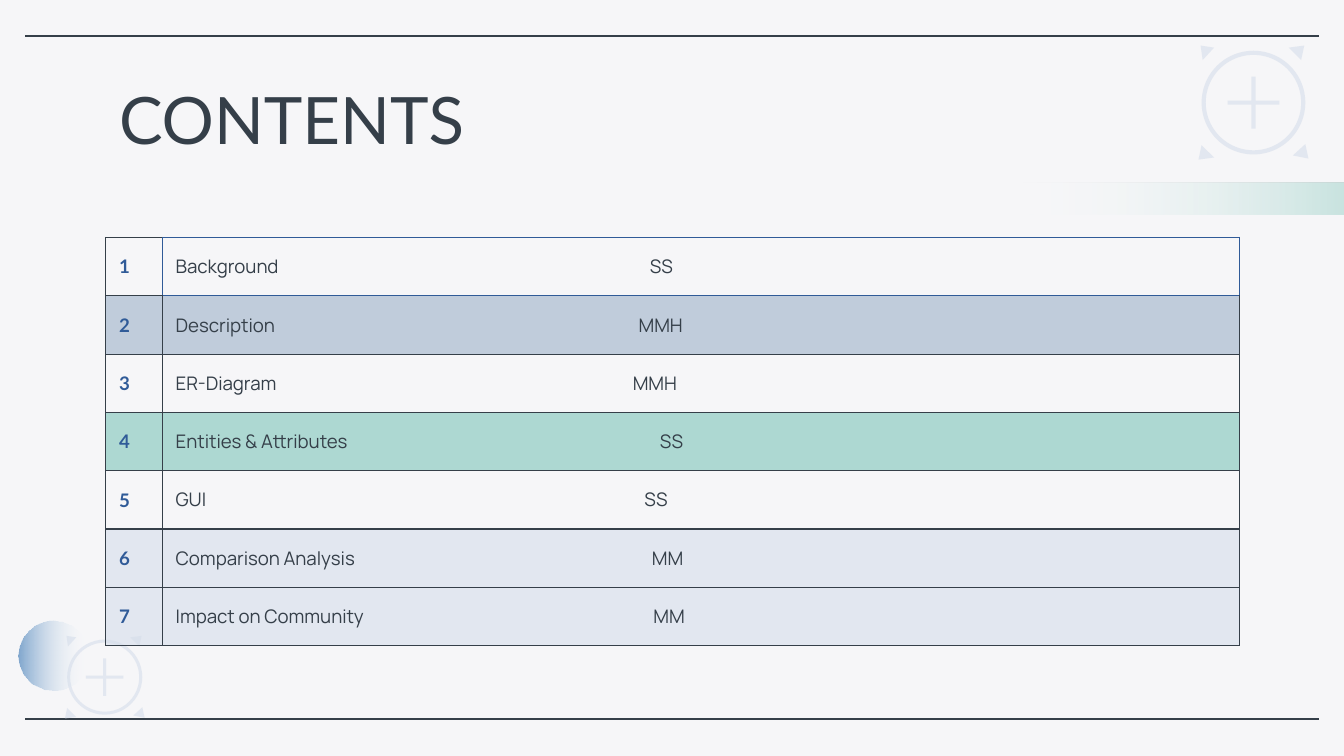
import pptx
import pptx.dml.color
import pptx.enum.shapes
import pptx.enum.text
import pptx.oxml
import pptx.oxml.ns
import pptx.util
from lxml import etree

Cm = pptx.util.Cm
Pt = pptx.util.Pt
SHAPES = pptx.enum.shapes.MSO_SHAPE
qn = pptx.oxml.ns.qn

THEME = {
    "background": "F6F6F8", "ink": "353F49", "blue": "305B98",
    "pale": "D6DEEB", "slate": "ABBCD0", "green": "169B82",
    "sky": "81A7CE", "mint": "68BAAC", "white": "FFFFFF",
    "heading_font": "Lato", "body_font": "Manrope",
    "title_size": 35, "body_size": 10, "line_width": 0.75,
}

# Content: topic, presenter, presenter's tab position in cm, row fill, opacity %
TITLE = "CONTENTS"
TOPICS = [
    ("Background", "SS", 8.96, "background", 100),
    ("Description", "MMH", 8.75, "slate", 71),
    ("ER-Diagram", "MMH", 8.64, "background", 100),
    ("Entities & Attributes", "SS", 9.15, "green", 32),
    ("GUI", "SS", 8.86, "background", 100),
    ("Comparison Analysis", "MM", 9.0, "pale", 61),
    ("Impact on Community", "MM", 9.03, "pale", 61),
]

# Geometry in cm
RULES = (0.68, 13.59)
RULE_LEFT, RULE_RIGHT = 0.48, 24.92
TABLE_LEFT, TABLE_TOP, TABLE_HEIGHT = 2.0, 4.49, 7.72
COLUMN_WIDTHS = (1.07, 20.35)
SMALL_TARGET = (1.98, 12.8, 1.42)  # centre x, centre y, ring diameter
LARGE_TARGET = (23.69, 1.94, 1.96)
# Corner marks around a target, in ring diameters from its centre
CORNER_MARKS = [
    [(-0.51, -0.55), (-0.49, -0.41), (-0.38, -0.53)],
    [(0.5, 0.4), (0.38, 0.51), (0.53, 0.54)],
    [(0.49, -0.55), (0.34, -0.53), (0.46, -0.41)],
    [(-0.5, 0.41), (-0.53, 0.55), (-0.38, 0.53)],
]


def color(name):
    return pptx.dml.color.RGBColor.from_string(THEME[name])


def set_opacity(fill_element, percent):
    color_element = fill_element.find(".//" + qn("a:srgbClr"))
    etree.SubElement(color_element, qn("a:alpha"), val=str(percent * 1000))


def paint(shape, name, opacity):
    shape.shadow.inherit = False
    shape.line.fill.background()
    shape.fill.solid()
    shape.fill.fore_color.rgb = color(name)
    set_opacity(shape.element.spPr.find(qn("a:solidFill")), opacity)


def paint_gradient(shape, stops):
    """Fill with a left-to-right gradient of (position %, colour, opacity %)."""
    shape.shadow.inherit = False
    shape.line.fill.background()
    shape.fill.gradient()
    gradient = shape.element.spPr.find(qn("a:gradFill"))
    gradient.set("rotWithShape", "1")
    for child in list(gradient):
        gradient.remove(child)
    stop_list = etree.SubElement(gradient, qn("a:gsLst"))
    for position, name, opacity in stops:
        stop = etree.SubElement(stop_list, qn("a:gs"), pos=str(position * 1000))
        etree.SubElement(stop, qn("a:srgbClr"), val=THEME[name])
        set_opacity(stop, opacity)
    etree.SubElement(gradient, qn("a:lin"), ang="0", scaled="0")


def write_text(text_frame, text, *, font, size, color_name, bold=False, tab=None):
    paragraph = text_frame.paragraphs[0]
    if tab is not None:
        tab_list = etree.SubElement(paragraph._p.get_or_add_pPr(), qn("a:tabLst"))
        etree.SubElement(tab_list, qn("a:tab"), pos=str(Cm(tab)), algn="l")
    run = paragraph.add_run()
    run.text = text
    run.font.name = font
    run.font.size = Pt(size)
    run.font.bold = bold
    run.font.color.rgb = color(color_name)


def add_rule(slide, y):
    rule = slide.shapes.add_connector(
        pptx.enum.shapes.MSO_CONNECTOR.STRAIGHT,
        Cm(RULE_LEFT), Cm(y), Cm(RULE_RIGHT), Cm(y))
    rule.line.color.rgb = color("ink")
    rule.line.width = Pt(THEME["line_width"])
    etree.SubElement(rule.element.spPr, qn("a:effectLst"))


def add_target(slide, center_x, center_y, diameter):
    for kind, scale, adjustment in ((SHAPES.MATH_PLUS, 0.68, 0.058),
                                    (SHAPES.DONUT, 1, 0.04)):
        size = diameter * scale
        shape = slide.shapes.add_shape(
            kind, Cm(center_x - size / 2), Cm(center_y - size / 2), Cm(size), Cm(size))
        shape.adjustments[0] = adjustment
        paint(shape, "pale", 61)
    for mark in CORNER_MARKS:
        points = [(Cm(center_x + x * diameter), Cm(center_y + y * diameter))
                  for x, y in mark]
        builder = slide.shapes.build_freeform(*points[0])
        builder.add_line_segments(points[1:], close=True)
        paint(builder.convert_to_shape(), "pale", 61)


def border_color(row, column, side):
    """The first topic cell is outlined in blue, all others in ink."""
    touches_first_topic = (
        (row, column) == (0, 1)
        or (row, column, side) in ((0, 0, "R"), (1, 1, "T")))
    return "blue" if touches_first_topic else "ink"


def format_cell(cell, row, column, fill_name, opacity):
    cell.vertical_anchor = pptx.enum.text.MSO_ANCHOR.MIDDLE
    cell.margin_left = cell.margin_right = Cm(0.25)
    cell.margin_top = cell.margin_bottom = 0
    cell.fill.solid()
    cell.fill.fore_color.rgb = color(fill_name)
    properties = cell._tc.get_or_add_tcPr()
    set_opacity(properties.find(qn("a:solidFill")), opacity)
    for index, side in enumerate("LRTB"):
        border = etree.Element(qn("a:ln" + side), w=str(Pt(THEME["line_width"])))
        border_fill = etree.SubElement(border, qn("a:solidFill"))
        etree.SubElement(border_fill, qn("a:srgbClr"),
                         val=THEME[border_color(row, column, side)])
        properties.insert(index, border)


def add_contents_table(slide):
    table = slide.shapes.add_table(
        len(TOPICS), len(COLUMN_WIDTHS), Cm(TABLE_LEFT), Cm(TABLE_TOP),
        Cm(sum(COLUMN_WIDTHS)), Cm(TABLE_HEIGHT)).table
    table.first_row = table.horz_banding = False
    for column, width in zip(table.columns, COLUMN_WIDTHS):
        column.width = Cm(width)
    for row, (topic, presenter, tab, fill_name, opacity) in enumerate(TOPICS):
        table.rows[row].height = Cm(TABLE_HEIGHT / len(TOPICS))
        number_cell, topic_cell = table.cell(row, 0), table.cell(row, 1)
        for column, cell in enumerate((number_cell, topic_cell)):
            format_cell(cell, row, column, fill_name, opacity)
        write_text(number_cell.text_frame, str(row + 1), font=THEME["heading_font"],
                   size=THEME["body_size"], color_name="blue", bold=True)
        write_text(topic_cell.text_frame, f"{topic}\t{presenter}",
                   font=THEME["body_font"], size=THEME["body_size"],
                   color_name="ink", tab=tab)


def main():
    presentation = pptx.Presentation()
    presentation.slide_width, presentation.slide_height = Cm(25.4), Cm(14.29)
    slide = presentation.slides.add_slide(presentation.slide_layouts[6])
    slide.background.fill.solid()
    slide.background.fill.fore_color.rgb = color("background")

    # Rules and bottom-left decoration
    for y in RULES:
        add_rule(slide, y)
    disc = slide.shapes.add_shape(SHAPES.OVAL, Cm(0.36), Cm(11.73), Cm(1.32), Cm(1.32))
    paint_gradient(disc, [(0, "sky", 100), (100, "white", 0)])
    add_target(slide, *SMALL_TARGET)

    # Fading band at the right edge
    band = slide.shapes.add_shape(
        SHAPES.PARALLELOGRAM, Cm(17.63), Cm(3.45), Cm(9.88), Cm(0.61))
    band.rotation = 180
    paint_gradient(band, [(0, "mint", 59), (83, "white", 0), (100, "white", 0)])

    # Title
    title = slide.shapes.add_textbox(Cm(2), Cm(1.24), Cm(21.41), Cm(1.6))
    frame = title.text_frame
    frame.word_wrap = True
    frame.margin_left = frame.margin_right = Cm(0.25)
    frame.margin_top = frame.margin_bottom = Cm(0.25)
    write_text(frame, TITLE, font=THEME["heading_font"],
               size=THEME["title_size"], color_name="ink")

    # Table and top-right decoration
    add_contents_table(slide)
    add_target(slide, *LARGE_TARGET)
    presentation.save("out.pptx")


if __name__ == "__main__":
    main()
